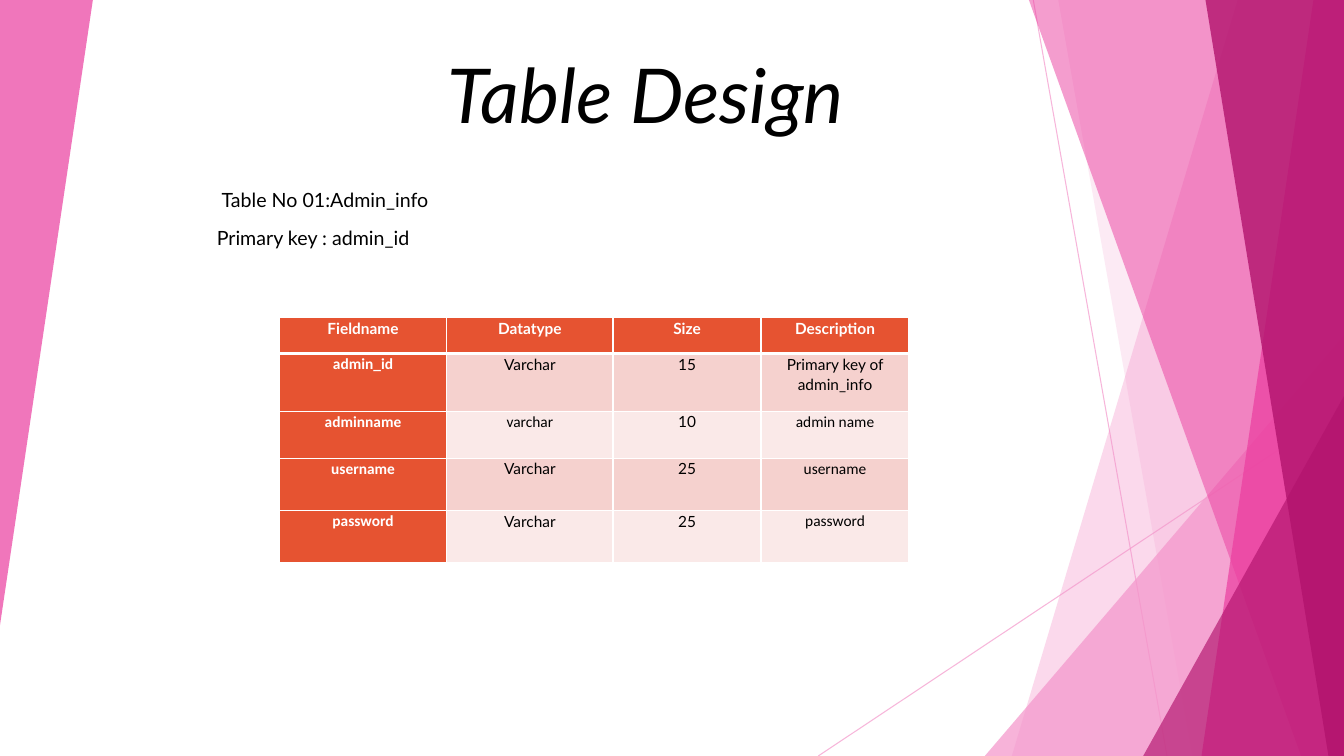
"""Build the Table Design slide with its faceted side decoration."""
from dataclasses import dataclass
from typing import Any

from lxml import etree
from pptx import Presentation
from pptx.dml.color import RGBColor
from pptx.enum.shapes import MSO_CONNECTOR, MSO_SHAPE
from pptx.enum.text import MSO_ANCHOR, MSO_AUTO_SIZE, PP_ALIGN
from pptx.oxml.ns import qn
from pptx.util import Cm, Pt

STRAIGHT = MSO_CONNECTOR.STRAIGHT
TRIANGLE = MSO_SHAPE.ISOSCELES_TRIANGLE
TOP, BOTTOM = MSO_ANCHOR.TOP, MSO_ANCHOR.BOTTOM
LEFT, CENTER, RIGHT = PP_ALIGN.LEFT, PP_ALIGN.CENTER, PP_ALIGN.RIGHT
NO_AUTO_SIZE = MSO_AUTO_SIZE.NONE

WHITE = RGBColor(0xFF, 0xFF, 0xFF)
BLACK = RGBColor(0x00, 0x00, 0x00)
LIGHT_PINK = RGBColor(0xF4, 0x96, 0xCB)
PINK = RGBColor(0xEB, 0x3D, 0x9F)
MAGENTA = RGBColor(0xB2, 0x13, 0x6D)
ORANGE = RGBColor(0xE6, 0x53, 0x31)
ROSE = RGBColor(0xF5, 0xD1, 0xCE)
PALE_ROSE = RGBColor(0xFA, 0xE9, 0xE8)

SLIDE_WIDTH, SLIDE_HEIGHT = 33.87, 19.05


@dataclass(frozen=True)
class Ray:
    start: tuple[float, float]
    end: tuple[float, float]


@dataclass(frozen=True)
class Facet:
    top_x: float
    bottom_x: float
    color: RGBColor
    opacity: int


@dataclass(frozen=True)
class Wedge:
    left: float
    top: float
    width: float
    height: float
    color: RGBColor
    opacity: int
    rotation: float = 0


RAYS = [Ray((26.04, 0), (29.41, SLIDE_HEIGHT)),
        Ray((SLIDE_WIDTH, 10.24), (20.62, SLIDE_HEIGHT))]
PANES = [
    Facet(31.19, 25.5, LIGHT_PINK, 36),
    Facet(26.67, 30.05, LIGHT_PINK, 20),
    Wedge(24.82, 8.46, 9.05, 10.59, LIGHT_PINK, 72),
    Facet(25.93, 32.79, PINK, 50),
    Facet(33.1, 30.28, PINK, 70),
    Facet(30.38, 33.48, MAGENTA, 80),
    Wedge(28.81, 9.98, 5.06, 9.07, MAGENTA, 66),
    Wedge(0, 0, 2.34, 15.75, PINK, 70, 180),
]

COLUMN_WIDTHS = [4.22, 4.19, 3.73, 3.73]
ROW_HEIGHTS = [0.91, 1.45, 1.19, 1.32, 1.3]
FIELDS = [
    ["Fieldname", "Datatype", "Size", "Description"],
    ["admin_id", "Varchar", "15", "Primary key of admin_info"],
    ["adminname", "varchar", "10", "admin name"],
    ["username", "Varchar", "25", "username"],
    ["password", "Varchar", "25", "password"],
]
CALIBRI_CELLS = {(1, 0), (2, 0), (3, 0), (4, 0), (2, 1), (2, 3), (3, 3), (4, 3)}

TITLE_FONT = {"size": Pt(54), "name": "Lato", "italic": True}
CAPTION_FONT = {"size": Pt(14), "name": "Lato"}
TITLE_FRAME = {"vertical_anchor": BOTTOM, "word_wrap": True, "auto_size": NO_AUTO_SIZE}
CAPTION_FRAME = {"vertical_anchor": TOP, "word_wrap": True,
                 "auto_size": NO_AUTO_SIZE, "margin_top": Cm(0.32)}
CELL_FORMAT = {"margin_left": Cm(0.18), "margin_right": Cm(0.18),
               "margin_top": 0, "margin_bottom": 0, "vertical_anchor": TOP}


def apply_format(target: Any, values: dict[str, Any]) -> None:
    """Set each named attribute on the target."""
    for name, value in values.items():
        setattr(target, name, value)


def set_opacity(shape: Any, percent: int) -> None:
    """Make the first colour of a shape partly transparent."""
    color = shape.element.find(".//" + qn("a:srgbClr"))
    etree.SubElement(color, qn("a:alpha"), val=str(percent * 1000))


def draw_ray(slide: Any, ray: Ray) -> None:
    """Draw one thin decorative line."""
    connector = slide.shapes.add_connector(
        STRAIGHT, *(Cm(value) for value in ray.start + ray.end))
    connector.line.color.rgb = LIGHT_PINK
    connector.line.width = Pt(0.75)
    set_opacity(connector, 70)
    properties = connector.element.find(qn("p:spPr"))
    etree.SubElement(properties, qn("a:effectLst"))


def draw_pane(slide: Any, pane: Facet | Wedge) -> None:
    """Draw a slanted facet or a triangular wedge."""
    if isinstance(pane, Facet):
        corners = [(Cm(x), Cm(y)) for x, y in (
            (SLIDE_WIDTH, 0), (SLIDE_WIDTH, SLIDE_HEIGHT),
            (pane.bottom_x, SLIDE_HEIGHT))]
        builder = slide.shapes.build_freeform(Cm(pane.top_x), 0)
        builder.add_line_segments(corners, close=True)
        shape = builder.convert_to_shape()
    else:
        shape = slide.shapes.add_shape(
            TRIANGLE, Cm(pane.left), Cm(pane.top), Cm(pane.width), Cm(pane.height))
        shape.adjustments[0] = 1
        shape.rotation = pane.rotation
    shape.shadow.inherit = False
    shape.line.fill.background()
    shape.fill.solid()
    shape.fill.fore_color.rgb = pane.color
    set_opacity(shape, pane.opacity)


def fill_placeholder(slide: Any, index: int, box: tuple[float, ...], lines: list[str],
                     frame: dict[str, Any], font: dict[str, Any], alignment: Any) -> Any:
    """Move a placeholder to the front and write formatted lines in it."""
    shape = slide.placeholders[index]
    slide.shapes.element.append(shape.element)
    shape.left, shape.top, shape.width, shape.height = (Cm(value) for value in box)
    shape.text_frame.text = "\n".join(lines)
    apply_format(shape.text_frame, frame)
    for number, paragraph in enumerate(shape.text_frame.paragraphs):
        paragraph.alignment = alignment
        paragraph.space_before = Pt(10 if number else 0)
        apply_format(paragraph.font, font)
        paragraph.font.color.rgb = BLACK
    return shape


def add_borders(cell: Any, row: int) -> None:
    """Draw white cell borders, thicker below the header."""
    properties = cell._tc.get_or_add_tcPr()
    thick_side = {0: "lnB", 1: "lnT"}.get(row)
    for side in ("lnL", "lnR", "lnT", "lnB"):
        width = Pt(3 if side == thick_side else 1)
        line = etree.SubElement(properties, qn(f"a:{side}"), w=str(width))
        fill = etree.SubElement(line, qn("a:solidFill"))
        etree.SubElement(fill, qn("a:srgbClr"), val=str(WHITE))


def draw_table(slide: Any) -> None:
    """Draw the table of admin fields."""
    table = slide.shapes.add_table(
        len(ROW_HEIGHTS), len(COLUMN_WIDTHS), Cm(7.04), Cm(8),
        Cm(sum(COLUMN_WIDTHS)), Cm(sum(ROW_HEIGHTS))).table
    for column, width in zip(table.columns, COLUMN_WIDTHS):
        column.width = Cm(width)
    for row, height in enumerate(ROW_HEIGHTS):
        table.rows[row].height = Cm(height)
        for column, text in enumerate(FIELDS[row]):
            heading = row == 0 or column == 0
            cell = table.cell(row, column)
            cell.text = text
            apply_format(cell, CELL_FORMAT)
            add_borders(cell, row)
            cell.fill.solid()
            band = ROSE if row % 2 else PALE_ROSE
            cell.fill.fore_color.rgb = ORANGE if heading else band
            paragraph = cell.text_frame.paragraphs[0]
            apply_format(paragraph, {"alignment": CENTER, "line_spacing": 1.07})
            name = "Calibri" if (row, column) in CALIBRI_CELLS else "Lato"
            apply_format(paragraph.font, {"size": Pt(11), "name": name, "bold": heading})
            paragraph.font.color.rgb = WHITE if heading else BLACK


def main() -> None:
    """Build and save the presentation."""
    presentation = Presentation()
    presentation.slide_width, presentation.slide_height = Cm(SLIDE_WIDTH), Cm(SLIDE_HEIGHT)
    slide = presentation.slides.add_slide(presentation.slide_layouts[0])
    for ray in RAYS:
        draw_ray(slide, ray)
    for pane in PANES:
        draw_pane(slide, pane)
    fill_placeholder(slide, 0, (8.41, 1.19, 13.11, 2.44), ["Table Design"],
                     TITLE_FRAME, TITLE_FONT, RIGHT)
    draw_table(slide)
    captions = fill_placeholder(
        slide, 1, (5.21, 4.42, 21.44, 2.77),
        ["Table No 01:Admin_info", "Primary key : admin_id"],
        CAPTION_FRAME, CAPTION_FONT, LEFT)
    first_caption = captions.text_frame.paragraphs[0]
    first_caption._p.get_or_add_pPr().set("marL", str(Cm(0.12)))
    presentation.save("out.pptx")


if __name__ == "__main__":
    main()
